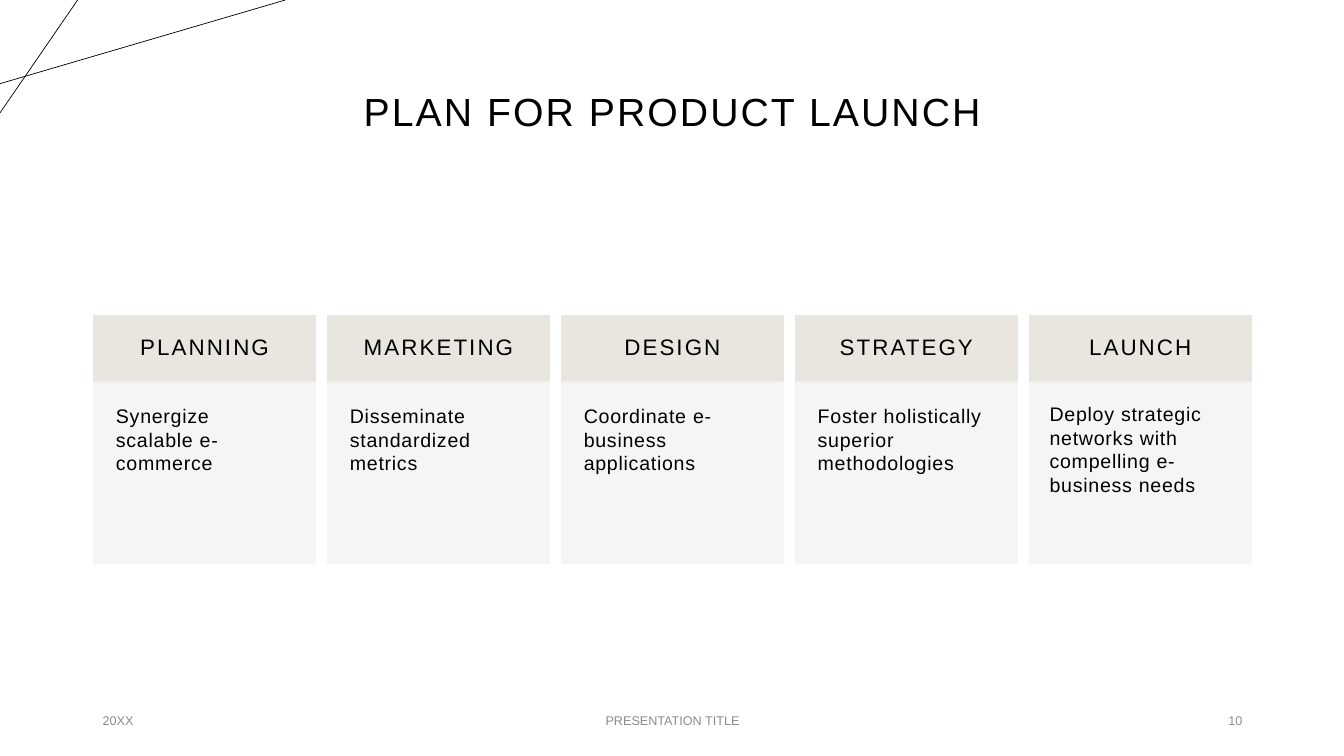
from dataclasses import dataclass

from pptx import Presentation
from pptx.dml.color import RGBColor
from pptx.enum.shapes import MSO_CONNECTOR, MSO_SHAPE
from pptx.enum.text import MSO_ANCHOR as ANCHOR, MSO_AUTO_SIZE, PP_ALIGN as ALIGN
from pptx.oxml.ns import qn
from pptx.oxml.xmlchemy import OxmlElement
from pptx.shapes.autoshape import Shape
from pptx.slide import Slide
from pptx.text.text import TextFrame
from pptx.util import Inches, Pt

FONT = "Arial"
BLACK, GREY = "000000", "8C8C8C"
HEAD_FILL, BODY_FILL = "E9E6DF", "F7F5F3"
LEFT, PITCH, WIDTH = 0.93, 2.32, 2.2
HEAD_TOP, HEAD_HEIGHT, BODY_HEIGHT = 3.13, 0.66, 1.8


@dataclass
class Phase:
    name: str
    task: str
    inset: float = 0.22


@dataclass
class Line:
    start: tuple[float, float]
    end: tuple[float, float]


@dataclass
class Footer:
    text: str
    left: float
    width: float
    align: ALIGN


PHASES = [
    Phase("PLANNING", "Synergize scalable e-commerce"),
    Phase("MARKETING", "Disseminate standardized metrics"),
    Phase("DESIGN", "Coordinate e-business applications"),
    Phase("STRATEGY", "Foster holistically superior methodologies"),
    Phase("LAUNCH", "Deploy strategic networks with compelling e-business needs", 0.2),
]
LINES = [Line((0, 0.83), (2.83, 0)), Line((0.77, 0), (0, 1.12))]
FOOTERS = [
    Footer("20XX", 0.92, 3, ALIGN.LEFT),
    Footer("PRESENTATION TITLE", 4.42, 4.5, ALIGN.CENTER),
    Footer("10", 9.42, 3, ALIGN.RIGHT),
]


def rgb(color: str) -> RGBColor:
    return RGBColor.from_string(color)


def write(tf: TextFrame, text: str, *, size: float, color: str = BLACK,
          align: ALIGN = ALIGN.LEFT, anchor: ANCHOR = ANCHOR.MIDDLE,
          leading: float = 1.0, tracking: float = 0,
          inset: float | None = None) -> None:
    tf.word_wrap = True
    tf.auto_size = MSO_AUTO_SIZE.NONE
    tf.vertical_anchor = anchor
    if inset is not None:
        tf.margin_left = tf.margin_top = Inches(inset)
        tf.margin_right = tf.margin_bottom = Inches(inset)
    p = tf.paragraphs[0]
    p.alignment = align
    p.line_spacing = leading
    r = p.add_run()
    r.text = text
    r.font.name = FONT
    r.font.size = Pt(size)
    r.font.color.rgb = rgb(color)
    if tracking:
        r.font._element.set("spc", str(round(tracking * 100)))


def add_line(s: Slide, line: Line) -> None:
    points = [Inches(v) for v in (*line.start, *line.end)]
    sp = s.shapes.add_connector(MSO_CONNECTOR.STRAIGHT, *points)
    sp.line.color.rgb = rgb(BLACK)
    sp.line.width = Pt(0.5)
    sp._element.spPr.append(OxmlElement("a:effectLst"))


def add_box(s: Slide, left: float, top: float, height: float, color: str,
            opacity: int = 100) -> Shape:
    sp = s.shapes.add_shape(MSO_SHAPE.RECTANGLE, Inches(left), Inches(top),
                            Inches(WIDTH), Inches(height))
    sp.shadow.inherit = False
    sp.fill.solid()
    sp.fill.fore_color.rgb = rgb(color)
    sp.line.color.rgb = rgb(color)
    sp.line.width = Pt(1)
    if opacity < 100:
        for clr in sp._element.spPr.iter(qn("a:srgbClr")):
            alpha = OxmlElement("a:alpha")
            alpha.set("val", str(opacity * 1000))
            clr.append(alpha)
    return sp


def add_phase(s: Slide, phase: Phase, left: float) -> None:
    head = add_box(s, left, HEAD_TOP, HEAD_HEIGHT, HEAD_FILL)
    write(head.text_frame, phase.name, size=16, align=ALIGN.CENTER,
          leading=0.9, tracking=1.5, inset=0.17)
    body = add_box(s, left, HEAD_TOP + HEAD_HEIGHT, BODY_HEIGHT, BODY_FILL, opacity=90)
    write(body.text_frame, phase.task, size=14, anchor=ANCHOR.TOP,
          tracking=0.5, inset=phase.inset)


def add_footer(s: Slide, footer: Footer) -> None:
    sp = s.shapes.add_textbox(Inches(footer.left), Inches(6.95),
                              Inches(footer.width), Inches(0.4))
    write(sp.text_frame, footer.text, size=9, color=GREY, align=footer.align)


def main() -> None:
    prs = Presentation()
    prs.slide_width, prs.slide_height = Inches(13.33), Inches(7.5)
    s = prs.slides.add_slide(prs.slide_layouts.get_by_name("Title Only"))

    title = s.shapes.title
    title.left, title.top = Inches(0.92), Inches(0.4)
    title.width, title.height = Inches(11.5), Inches(1.45)
    write(title.text_frame, "PLAN FOR PRODUCT LAUNCH", size=28,
          align=ALIGN.CENTER, leading=0.9, tracking=1.5)

    for line in LINES:
        add_line(s, line)
    for i, phase in enumerate(PHASES):
        add_phase(s, phase, LEFT + i * PITCH)
    for footer in FOOTERS:
        add_footer(s, footer)

    prs.save("out.pptx")


if __name__ == "__main__":
    main()
